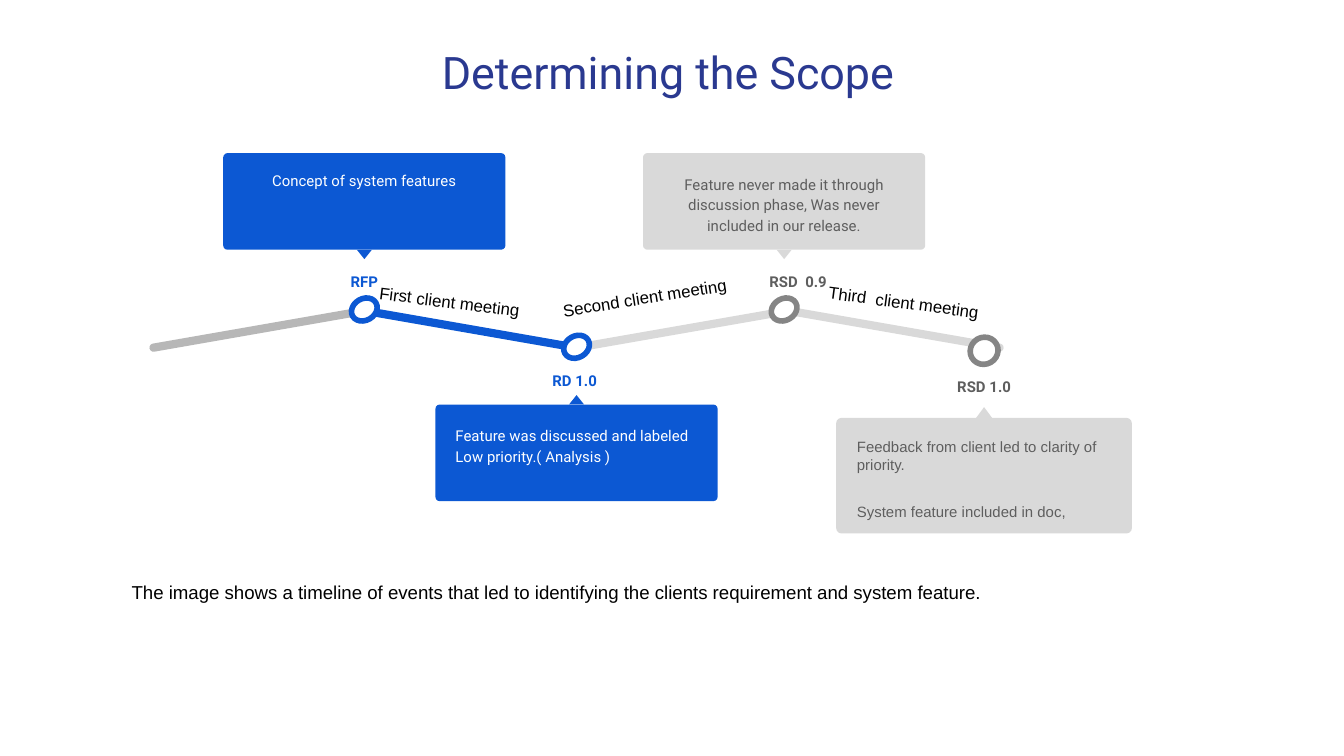
from dataclasses import dataclass

from pptx import Presentation
from pptx.dml.color import RGBColor as RGB
from pptx.enum.shapes import MSO_SHAPE as Shape
from pptx.enum.text import MSO_ANCHOR as Anchor, PP_ALIGN as Align
from pptx.util import Pt

COLORS = {
    "title": "2A3990",
    "blue": "0C58D3",
    "light": "D9D9D9",
    "mid": "B7B7B7",
    "ring": "858585",
    "gray_text": "5E5E5E",
    "white": "FFFFFF",
    "black": "000000",
}
BAR_LEFT, BAR_TOP, BAR_STEP = 79.2, 174.2, 113.5
BAR_W, BAR_H, BAR_TILT = 118.8, 4.4, 9.9
RING_TILT = 330.2


@dataclass
class Milestone:
    label: str
    lines: list[str]
    center: float
    card_top: float
    label_top: float
    ring_top: float
    above: bool
    done: bool
    align: Align = Align.CENTER
    card_size: tuple[float, float] = (151.2, 51.8)
    text_size: tuple[float, float] = (144, 46)
    text_dx: float = 0
    label_dx: float = 0
    ring_size: tuple[float, float] = (14.4, 11.6)
    pointer_size: tuple[float, float] = (8, 5)
    font: str = "Roboto"
    spacing: float = 1.15


@dataclass
class Meeting:
    text: str
    box: tuple[float, float, float, float]
    rotation: float
    anchor: Anchor = Anchor.TOP


MILESTONES = [
    Milestone("RSD 1.0", ["Feedback from client led to clarity of priority.",
                          "System feature included in doc,"],
              527.2, 223.9, 195.1, 180.7, above=False, done=False, align=Align.LEFT,
              card_size=(158.4, 61.9), text_size=(150.5, 61.9), ring_size=(15.1, 14.4),
              pointer_size=(8.6, 5.8), font="Arial", spacing=1),
    Milestone("RSD  0.9", ["Feature never made it through discussion phase, "
                           "Was never included in our release."],
              420.1, 82, 139, 160, above=True, done=False, label_dx=7.5),
    Milestone("RD 1.0", ["Feature was discussed and labeled Low priority.( Analysis )"],
              308.9, 216.7, 192.2, 180, above=False, done=True, align=Align.LEFT,
              text_size=(154.8, 51.8), text_dx=5.4, label_dx=-1),
    Milestone("RFP", ["Concept of system features"],
              195.2, 82, 139, 160, above=True, done=True),
]
MEETINGS = [
    Meeting("First client meeting", (195.1, 152.6, 121, 33.8), 7.1),
    Meeting("Second client meeting", (293.8, 142.6, 128.2, 29.5), 350.9, Anchor.MIDDLE),
    Meeting("Third  client meeting", (435.6, 152.6, 121, 33.8), 7.5),
]


def add_text(slide, lines: list[str], box: tuple[float, float, float, float], *,
             size: float, color: str, font: str = "Arial", bold: bool = False,
             align: Align = Align.LEFT, anchor: Anchor = Anchor.TOP,
             spacing: float = 1, gap: float = 16, rotation: float = 0) -> None:
    sp = slide.shapes.add_textbox(*map(Pt, box))
    sp.rotation = rotation
    tf = sp.text_frame
    tf.word_wrap = True
    tf.vertical_anchor = anchor
    tf.margin_left = tf.margin_right = tf.margin_top = tf.margin_bottom = Pt(7.2)
    for i, line in enumerate(lines):
        p = tf.paragraphs[0] if i == 0 else tf.add_paragraph()
        p.alignment = align
        p.line_spacing = spacing
        p.space_before = Pt(gap if i else 0)
        r = p.add_run()
        r.text = line
        r.font.size = Pt(size)
        r.font.name = font
        r.font.bold = bold
        r.font.color.rgb = RGB.from_string(COLORS[color])


def add_solid(slide, kind: Shape, box: tuple[float, float, float, float], fill: str, *,
              outline: str | None = None, rotation: float = 0,
              corner: float | None = None) -> None:
    sp = slide.shapes.add_shape(kind, *map(Pt, box))
    sp.shadow.inherit = False
    sp.rotation = rotation
    sp.fill.solid()
    sp.fill.fore_color.rgb = RGB.from_string(COLORS[fill])
    if outline:
        sp.line.color.rgb = RGB.from_string(COLORS[outline])
        sp.line.width = Pt(3)
    else:
        sp.line.fill.background()
    if corner is not None:
        sp.adjustments[0] = corner


def add_milestone(slide, m: Milestone) -> None:
    """Draw the card with its pointer, the label and the ring on one centre line."""
    def centered(size: tuple[float, float], top: float, dx: float = 0):
        return m.center - size[0] / 2 + dx, top, *size

    card_color = "blue" if m.done else "light"
    pointer_top = m.card_top + m.card_size[1] if m.above else m.card_top - m.pointer_size[1]
    add_solid(slide, Shape.ROUNDED_RECTANGLE, centered(m.card_size, m.card_top),
              card_color, corner=0.045)
    add_solid(slide, Shape.ISOSCELES_TRIANGLE, centered(m.pointer_size, pointer_top),
              card_color, rotation=180 if m.above else 0)
    add_text(slide, m.lines, centered(m.text_size, m.card_top + 3.2, m.text_dx), size=8,
             color="white" if m.done else "gray_text", font=m.font,
             align=m.align, spacing=m.spacing)
    add_text(slide, [m.label], centered((62, 20), m.label_top, m.label_dx), size=8,
             color="blue" if m.done else "gray_text", font="Roboto", bold=True,
             align=Align.CENTER, spacing=1.15)
    add_solid(slide, Shape.OVAL, centered(m.ring_size, m.ring_top), "white",
              outline="blue" if m.done else "ring", rotation=RING_TILT)


def main() -> None:
    prs = Presentation()
    prs.slide_width, prs.slide_height = Pt(720), Pt(405)
    s = prs.slides.add_slide(prs.slide_layouts[6])

    add_text(s, ["Determining the Scope"], (10.8, 14.4, 694, 45.4), size=24,
             color="title", font="Roboto", align=Align.CENTER, anchor=Anchor.BOTTOM)
    for i, color in enumerate(["mid", "blue", "light", "light"]):
        add_solid(s, Shape.ROUNDED_RECTANGLE,
                  (BAR_LEFT + i * BAR_STEP, BAR_TOP, BAR_W, BAR_H), color,
                  rotation=BAR_TILT if i % 2 else -BAR_TILT, corner=0.5)
    for milestone in MILESTONES:
        add_milestone(s, milestone)
    for meeting in MEETINGS:
        add_text(s, [meeting.text], meeting.box, size=9, color="black",
                 anchor=meeting.anchor, rotation=meeting.rotation)
    add_text(s, ["The image shows a timeline of events that led to identifying "
                 "the clients requirement and system feature."],
             (63.4, 305.3, 566, 17.3), size=10, color="black")

    prs.save("out.pptx")


if __name__ == "__main__":
    main()
